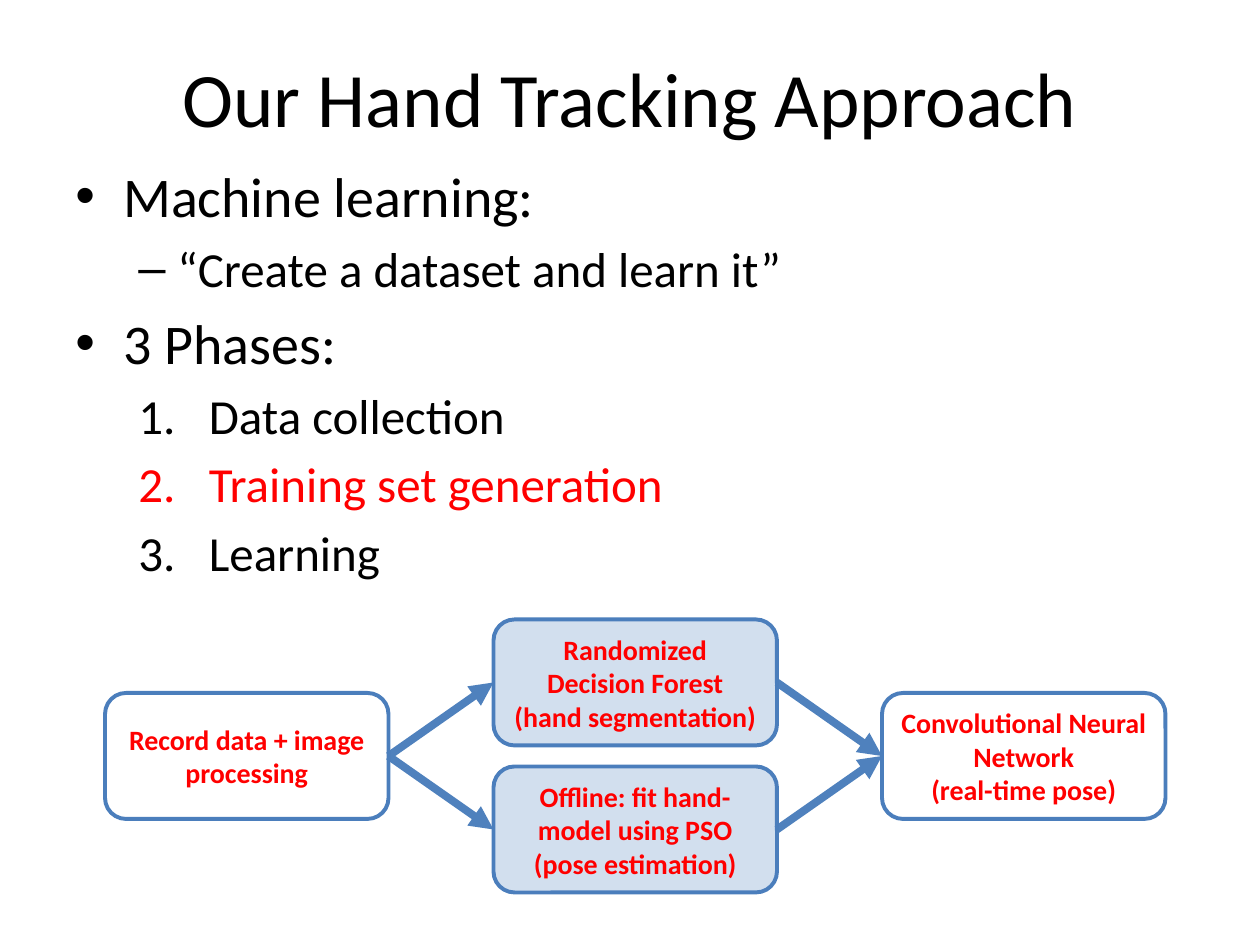
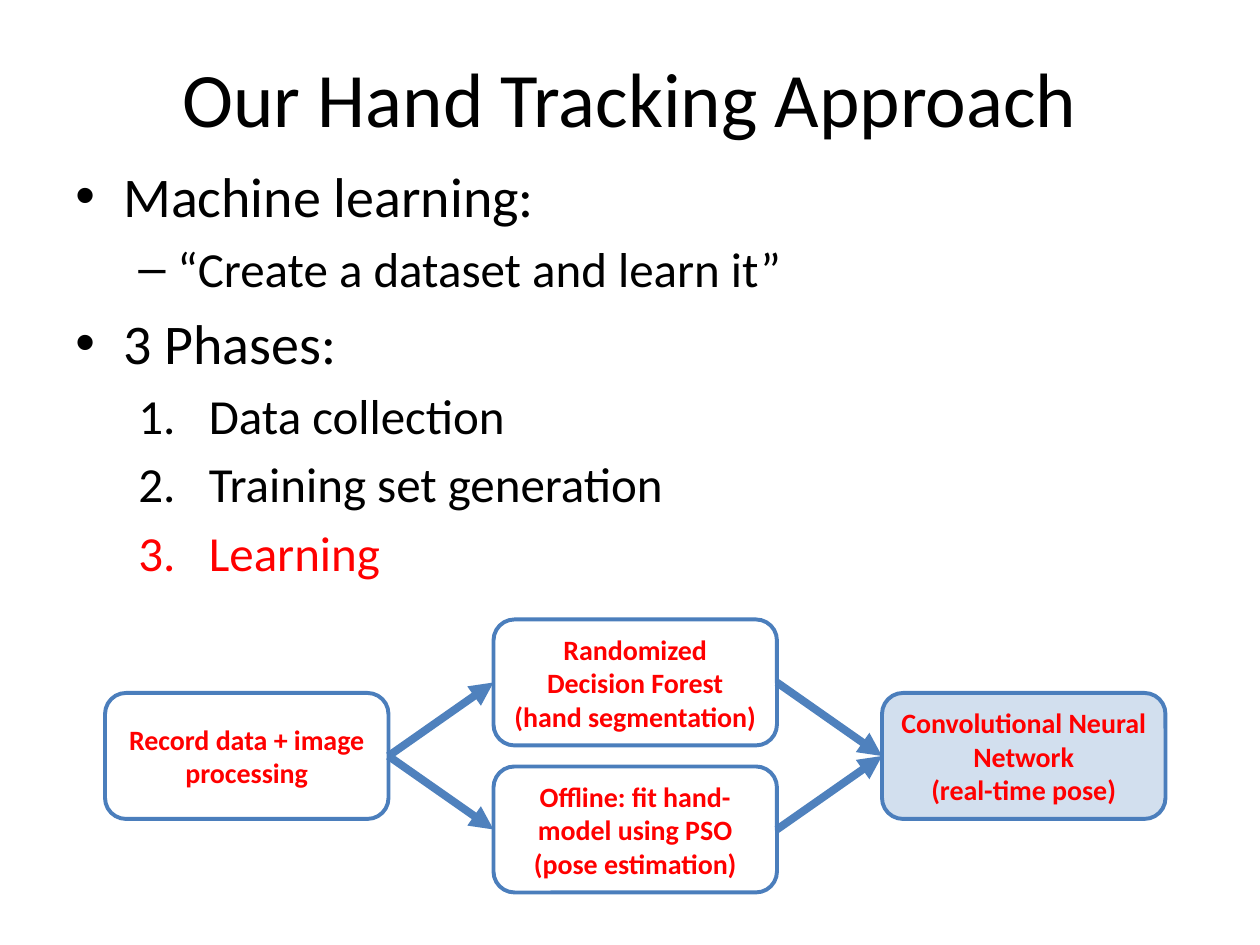
from lxml import etree
from pptx import Presentation
from pptx.dml.color import RGBColor
from pptx.enum.shapes import MSO_CONNECTOR, MSO_SHAPE
from pptx.enum.text import MSO_ANCHOR, PP_ALIGN
from pptx.oxml.ns import qn
from pptx.util import Inches, Pt

STRAIGHT = MSO_CONNECTOR.STRAIGHT
ROUNDED = MSO_SHAPE.ROUNDED_RECTANGLE
MIDDLE, TOP = MSO_ANCHOR.MIDDLE, MSO_ANCHOR.TOP
CENTER, LEFT = PP_ALIGN.CENTER, PP_ALIGN.LEFT
LEFT_SIDE, RIGHT_SIDE = 1, 3

FONT = "Calibri"
BLACK, RED, BLUE, BORDER = "000000", "FF0000", "4F81BD", "4B7EBC"

TITLE = "Our Hand Tracking Approach"
BULLET, DASH, NUMBER = "•", "–", "1."
LEVELS = {
    BULLET: {"size": 32, "level": 0, "margin": 0.38, "hanging": 0.38},
    DASH: {"size": 28, "level": 1, "margin": 0.81, "hanging": 0.31},
    NUMBER: {"size": 28, "level": 1, "margin": 1.06, "hanging": 0.56},
}
OUTLINE = [
    (BULLET, "Machine learning:"),
    (DASH, "“Create a dataset and learn it”"),
    (BULLET, "3 Phases:"),
    (NUMBER, "Data collection"),
    (NUMBER, "Training set generation"),
    (NUMBER, "Learning"),
]

BOX_WIDTH, BOX_HEIGHT = 2.25, 1
GAP = 10 / 12
MIDDLE_ROW, ROW_STEP = 5.5, 7 / 12
STEPS = {
    "record": (0, 0, ["Record data + image processing"]),
    "network": (2, 0, ["Convolutional Neural Network", "(real-time pose)"]),
    "forest": (1, -1, ["Randomized Decision Forest", "(hand segmentation)"]),
    "fit": (1, 1, ["Offline: fit hand-model using PSO", "(pose estimation)"]),
}
ARROWS = [("record", "forest"), ("record", "fit"), ("forest", "network"), ("fit", "network")]

PHASES = [
    ("Training set generation", ["forest", "fit"]),
    ("Learning", ["network"]),
]


def color(value):
    return RGBColor.from_string(value)


def write(paragraph, text, alignment, size, text_color, bold=False):
    paragraph.alignment = alignment
    run = paragraph.add_run()
    run.text = text
    for name, value in {"name": FONT, "size": Pt(size), "bold": bold}.items():
        setattr(run.font, name, value)
    run.font.color.rgb = color(text_color)


presentation = Presentation()
presentation.slide_width, presentation.slide_height = Inches(10), Inches(7.5)
blank_layout = presentation.slide_layouts[6]

for current_phase, current_steps in PHASES:
    slide = presentation.slides.add_slide(blank_layout)

    frames = []
    for top, height, anchor in [(0.3, 0.93, MIDDLE), (1.23, 5.95, TOP)]:
        box = slide.shapes.add_textbox(Inches(0.5), Inches(top), Inches(9), Inches(height))
        box.text_frame.word_wrap = True
        box.text_frame.vertical_anchor = anchor
        frames.append(box.text_frame)
    title_frame, outline_frame = frames
    write(title_frame.paragraphs[0], TITLE, CENTER, 44, BLACK)

    for index, (marker, text) in enumerate(OUTLINE):
        paragraph = outline_frame.add_paragraph() if index else outline_frame.paragraphs[0]
        level = LEVELS[marker]
        paragraph.level = level["level"]
        properties = paragraph._p.get_or_add_pPr()
        properties.set("marL", str(Inches(level["margin"])))
        properties.set("indent", str(-Inches(level["hanging"])))
        etree.SubElement(properties, qn("a:buFont"), typeface=FONT if marker == NUMBER else "Arial")
        if marker == NUMBER:
            etree.SubElement(properties, qn("a:buAutoNum"), type="arabicPeriod")
        else:
            etree.SubElement(properties, qn("a:buChar"), char=marker)
        if index:
            paragraph.space_before = Pt(0.2 * level["size"])
        write(paragraph, text, LEFT, level["size"], RED if text == current_phase else BLACK)

    connectors = []
    for arrow in ARROWS:
        connector = slide.shapes.add_connector(STRAIGHT, 0, 0, 0, 0)
        connector.line.color.rgb = color(BLUE)
        connector.line.width = Pt(4.5)
        properties = connector._element.spPr
        etree.SubElement(properties.find(qn("a:ln")), qn("a:tailEnd"), type="triangle")
        etree.SubElement(properties, qn("a:effectLst"))
        connectors.append(connector)

    boxes = {}
    for step, (column, row, lines) in STEPS.items():
        shape = slide.shapes.add_shape(
            ROUNDED,
            Inches(GAP + column * (BOX_WIDTH + GAP)),
            Inches(MIDDLE_ROW + row * ROW_STEP),
            Inches(BOX_WIDTH),
            Inches(BOX_HEIGHT),
        )
        shape.shadow.inherit = False
        shape.line.color.rgb = color(BORDER)
        shape.line.width = Pt(2.25)
        if step in current_steps:
            shape.fill.solid()
            shape.fill.fore_color.rgb = color(BLUE)
            fill_color = shape._element.spPr.find(qn("a:solidFill"))[0]
            etree.SubElement(fill_color, qn("a:alpha"), val="25000")
        else:
            shape.fill.background()
        frame = shape.text_frame
        frame.word_wrap = True
        frame.vertical_anchor = MIDDLE
        for index, line in enumerate(lines):
            paragraph = frame.add_paragraph() if index else frame.paragraphs[0]
            write(paragraph, line, CENTER, 16, RED, bold=True)
        boxes[step] = shape

    for connector, (source, target) in zip(connectors, ARROWS):
        connector.begin_connect(boxes[source], RIGHT_SIDE)
        connector.end_connect(boxes[target], LEFT_SIDE)

presentation.save("out.pptx")
